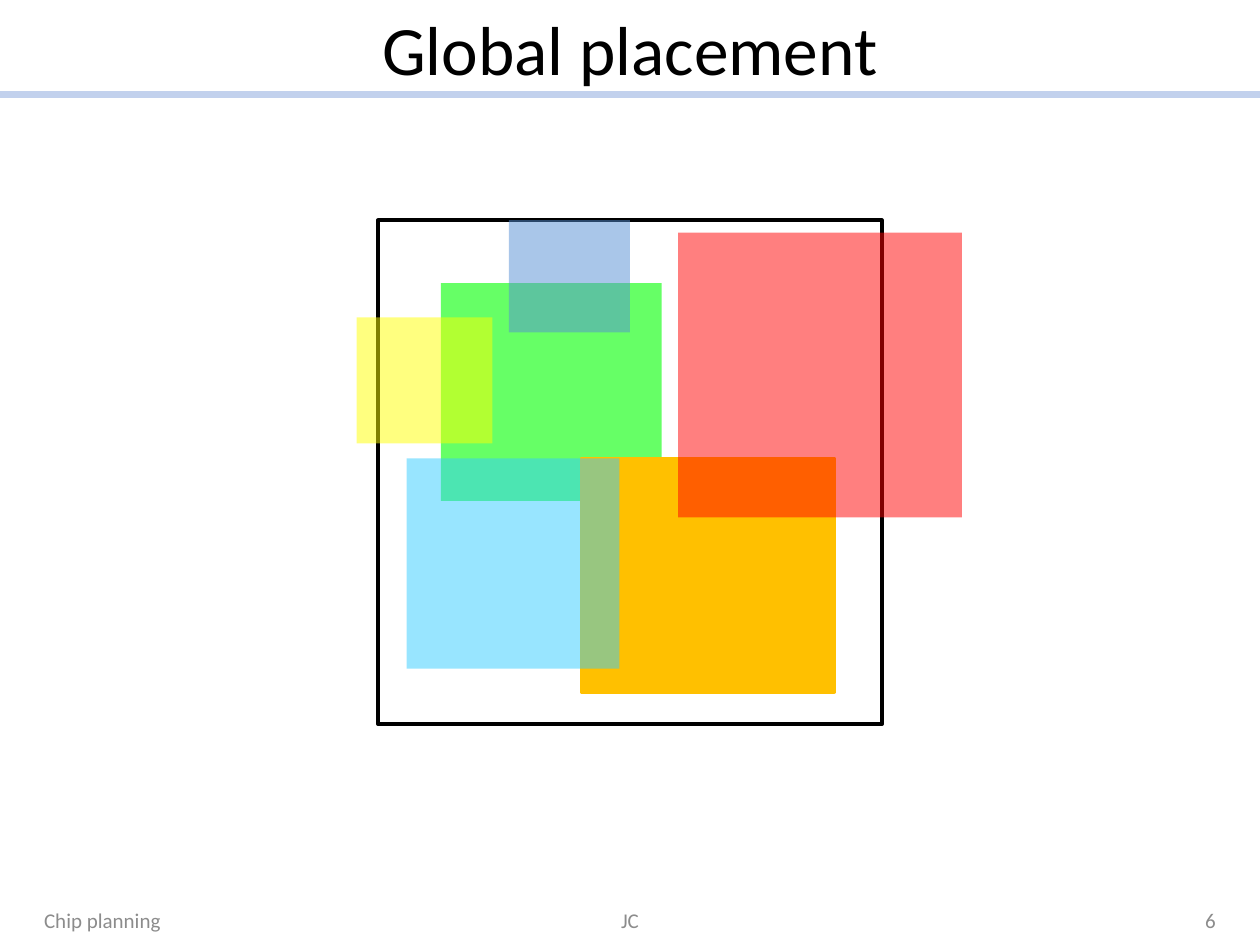
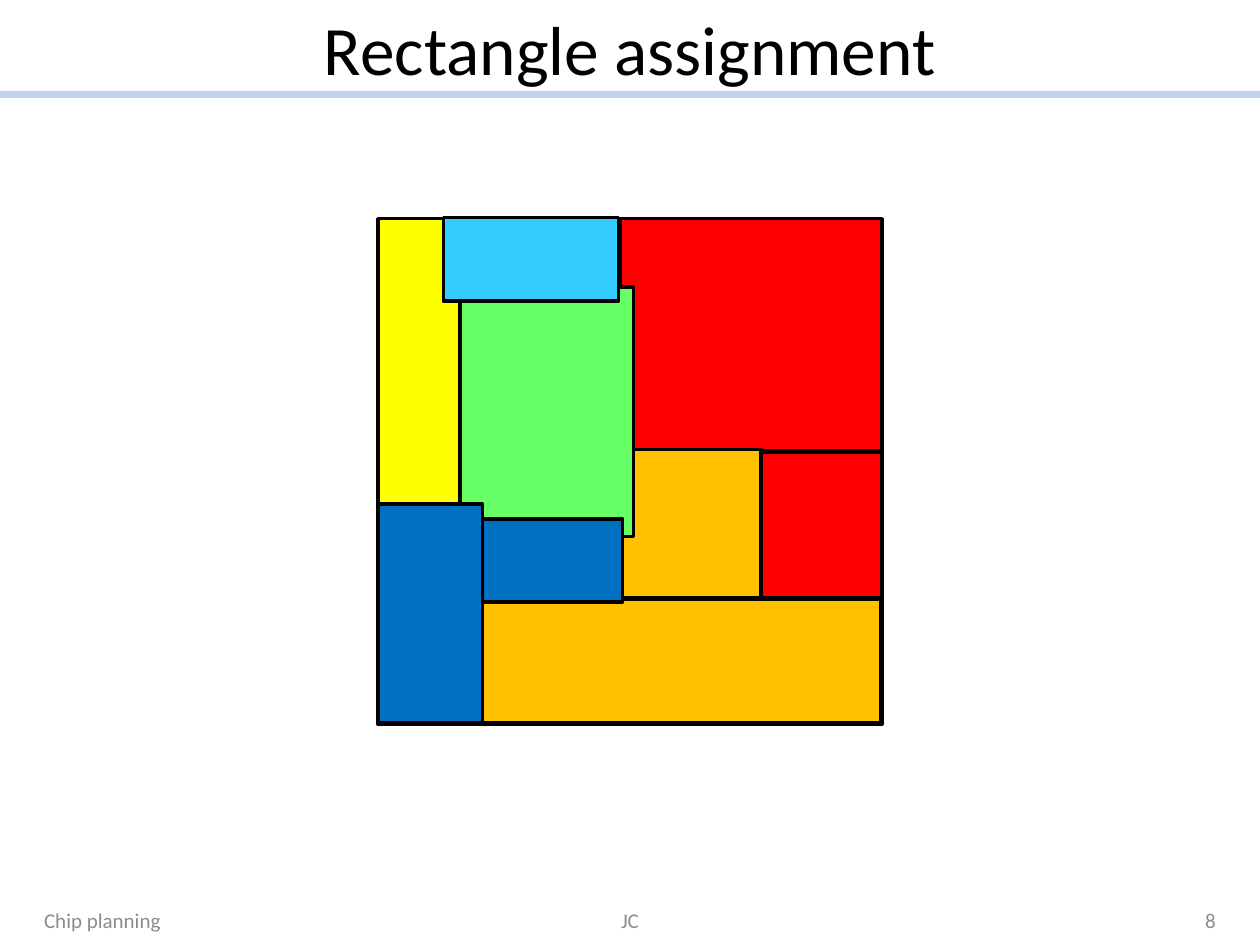
from dataclasses import dataclass

from lxml import etree
from pptx import Presentation
from pptx.dml.color import RGBColor
from pptx.enum import shapes, text
from pptx.oxml.ns import qn
from pptx.util import Cm, Pt


@dataclass(frozen=True)
class Theme:
    font: str = "Calibri"
    title: float = 39.6
    small: float = 12
    edge: float = 2
    rule: float = 4
    black: str = "000000"
    grey: str = "8C8C8C"
    band: str = "C2D1ED"
    red: str = "FF0000"
    orange: str = "FFC000"
    yellow: str = "FFFF00"
    green: str = "66FF66"
    cyan: str = "33CCFF"
    steel: str = "558ED5"
    blue: str = "0070C0"


T = Theme()
WIDE, HIGH = 25.4, 19.05
HEAD = (1.27, 0, 22.86, 1.91)
FOOT = (0.64, 18.03, 24.12, 1.02)
CHIP = (7.62, 4.44, 10.16, 10.16)
LEFT, MID, RIGHT = (text.PP_ALIGN.LEFT, text.PP_ALIGN.CENTER,
                    text.PP_ALIGN.RIGHT)

# Blocks: left, top, width, height in cm from the chip corner.
# Solid blocks lie below the chip frame, clear ones above it.
SOLID = [
    (1.27, 1.27, 4.45, 4.39, T.green, None),
    (4.11, 4.8, 5.08, 4.72, T.orange, T.orange),
]
CLEAR = [
    (-0.43, 1.96, 2.74, 2.54, T.yellow),
    (2.64, 0, 2.44, 2.26, T.steel),
    (0.58, 4.8, 4.29, 4.24, T.cyan),
    (6.05, 0.25, 5.72, 5.74, T.red),
]
TILES = [
    (4.88, -0.03, 5.28, 4.67, T.red),
    (7.42, 4.67, 2.74, 2.95, T.red),
    (1.78, 7.65, 8.36, 2.49, T.orange),
    (4.62, 4.62, 3.1, 3, T.orange),
    (1.14, 1.35, 4.01, 5.03, T.green),
    (0, -0.03, 1.65, 5.99, T.yellow),
    (1.78, 6.02, 3.15, 1.68, T.blue),
    (0, 5.72, 2.11, 4.42, T.blue),
    (1.32, -0.05, 3.53, 1.68, T.cyan),
]


def label(slide, box, words, size, tint, align):
    shape = slide.shapes.add_textbox(*map(Cm, box))
    frame = shape.text_frame
    frame.word_wrap = True
    frame.vertical_anchor = text.MSO_ANCHOR.MIDDLE
    para = frame.paragraphs[0]
    para.text = words
    para.alignment = align
    para.font.name = T.font
    para.font.size = Pt(size)
    para.font.color.rgb = RGBColor.from_string(tint)


def block(slide, box, part, fill=None, edge=None, alpha=None):
    """Draw a rectangle placed from the corner of box; alpha in percent."""
    x, y, w, h = part
    shape = slide.shapes.add_shape(
        shapes.MSO_SHAPE.RECTANGLE,
        Cm(box[0] + x), Cm(box[1] + y), Cm(w), Cm(h))
    shape.shadow.inherit = False
    if fill:
        shape.fill.solid()
        shape.fill.fore_color.rgb = RGBColor.from_string(fill)
    else:
        shape.fill.background()
    if edge:
        shape.line.color.rgb = RGBColor.from_string(edge)
        shape.line.width = Pt(T.edge)
    else:
        shape.line.fill.background()
    if alpha:
        tint = shape.fill._xPr.find(f"{qn('a:solidFill')}/{qn('a:srgbClr')}")
        etree.SubElement(tint, qn("a:alpha")).set("val", str(alpha * 1000))


def header(slide, box, words):
    base = Cm(box[1] + box[3])
    rule = slide.shapes.add_connector(
        shapes.MSO_CONNECTOR.STRAIGHT, 0, base, Cm(WIDE), base)
    rule.line.color.rgb = RGBColor.from_string(T.band)
    rule.line.width = Pt(T.rule)
    etree.SubElement(rule._element.spPr, qn("a:effectLst"))
    label(slide, box, words, T.title, T.black, MID)


def footer(slide, box, number):
    x, y, w, h = box
    side, core = 5.92, 8.05
    cells = [
        (x, side, "Chip planning", LEFT),
        (x + (w - core) / 2, core, "JC", MID),
        (x + w - side, side, str(number), RIGHT),
    ]
    for left, width, words, align in cells:
        label(slide, (left, y, width, h), words, T.small, T.grey, align)


def outline(slide, box):
    block(slide, box, (0, 0, *box[2:]), edge=T.black)


def global_plan(slide, box):
    for *part, fill, edge in SOLID:
        block(slide, box, part, fill, edge)
    outline(slide, box)
    for *part, fill in CLEAR:
        block(slide, box, part, fill, alpha=50)


def tile_plan(slide, box):
    outline(slide, box)
    for *part, fill in TILES:
        block(slide, box, part, fill, T.black)


def main():
    deck = Presentation()
    deck.slide_width, deck.slide_height = Cm(WIDE), Cm(HIGH)
    pages = [
        ("Global placement", 6, global_plan),
        ("Rectangle assignment", 8, tile_plan),
    ]
    for title, number, plan in pages:
        slide = deck.slides.add_slide(deck.slide_layouts[6])
        header(slide, HEAD, title)
        plan(slide, CHIP)
        footer(slide, FOOT, number)
    deck.save("out.pptx")


if __name__ == "__main__":
    main()
